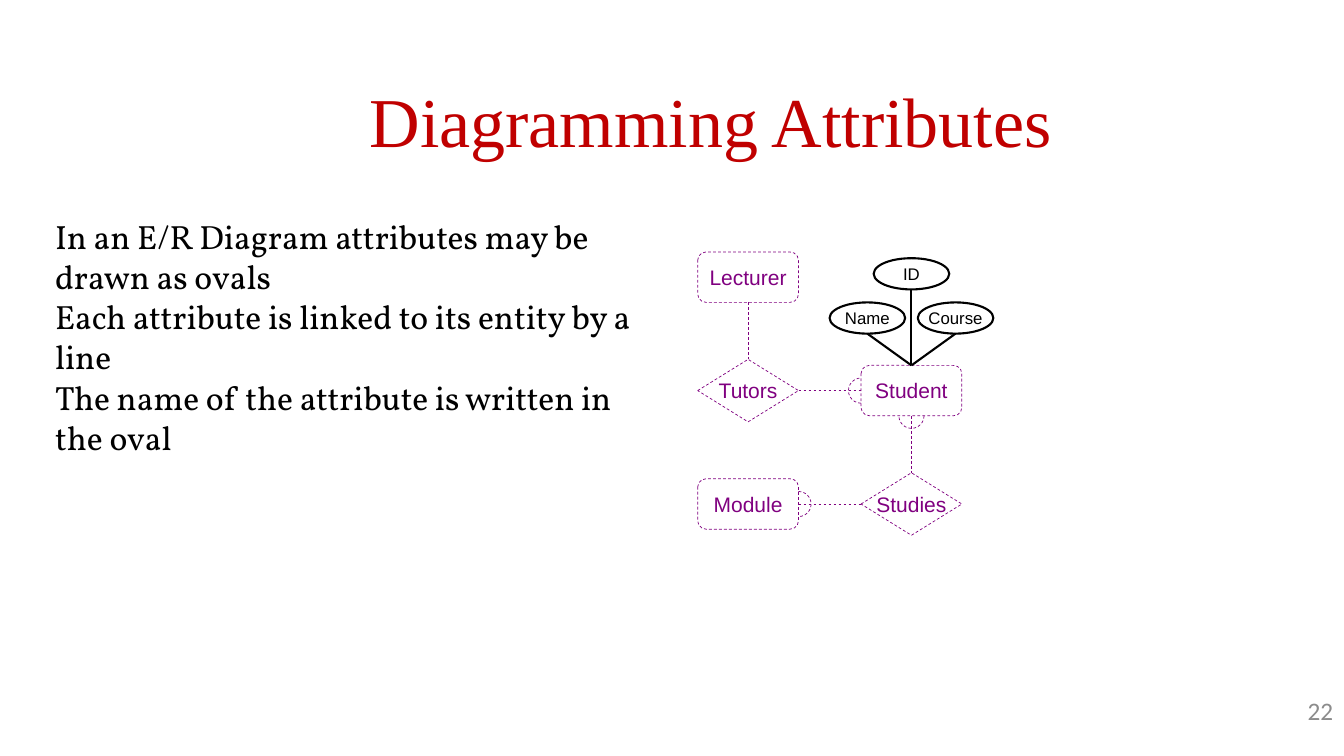
from lxml import etree
from pptx import Presentation, util as u
from pptx.dml.color import RGBColor
from pptx.enum import dml, shapes, text
from pptx.oxml.ns import qn

COLORS = {"title": "C00000", "body": "000000", "number": "8C8C8C",
          "faded": "800080", "attribute": "000000"}
SHAPE, ALIGN, ANCHOR = shapes.MSO_SHAPE, text.PP_ALIGN, text.MSO_ANCHOR
TOP, LEFT, BOTTOM, RIGHT = range(4)


def rgb(name):
    return RGBColor.from_string(COLORS[name])


def write(tf, lines, font="Arial", size=15, color="body", align=ALIGN.LEFT):
    for i, line in enumerate(lines.split("\n")):
        p = tf.paragraphs[0] if i == 0 else tf.add_paragraph()
        p.alignment = align
        r = p.add_run()
        r.text = line
        r.font.name, r.font.size = font, u.Pt(size)
        r.font.color.rgb = rgb(color)


class Diagram:
    """Slide with a grid of node centres: columns and rows may be fractions."""
    left, top = 7.42, 2.75
    col_step, row_step = 1.62, 1.125

    def __init__(self, prs):
        self.prs = prs
        self.s = prs.slides.add_slide(prs.slide_layouts[6])

    def point(self, col, row):
        return (u.Inches(self.left + col * self.col_step),
                u.Inches(self.top + row * self.row_step))

    def style_line(self, line, color):
        line.color.rgb = rgb(color)
        line.width = u.Pt(0.5 if color == "faded" else 1.5)
        if color == "faded":
            line.dash_style = dml.MSO_LINE.DASH

    def text_box(self, x, y, w, h, lines, **fmt):
        """Place text at shares of the slide's size."""
        W, H = self.prs.slide_width, self.prs.slide_height
        sp = self.s.shapes.add_textbox(int(x * W), int(y * H), int(w * W), int(h * H))
        tf = sp.text_frame
        tf.word_wrap = True
        tf.margin_left = tf.margin_right = tf.margin_top = tf.margin_bottom = 0
        write(tf, lines, **fmt)

    def shape(self, kind, col, row, w, h, color="faded"):
        """Centre an unfilled outline on a grid point."""
        x, y = self.point(col, row)
        w, h = u.Inches(w), u.Inches(h)
        sp = self.s.shapes.add_shape(kind, x - w // 2, y - h // 2, w, h)
        sp.shadow.inherit = False
        sp.fill.background()
        self.style_line(sp.line, color)
        return sp

    def node(self, kind, label, col, row, w, h, color="faded", size=15):
        sp = self.shape(kind, col, row, w, h, color)
        tf = sp.text_frame
        tf.word_wrap = False
        tf.vertical_anchor = ANCHOR.MIDDLE
        write(tf, label, size=size, color=color, align=ALIGN.CENTER)
        return sp

    def entity(self, label, col, row):
        return self.node(SHAPE.ROUNDED_RECTANGLE, label, col, row, 1, 0.5)

    def relationship(self, label, col, row):
        return self.node(SHAPE.DIAMOND, label, col, row, 1, 0.62)

    def many(self, col, row, start, end):
        """Half circle from start to end, in degrees clockwise from the right."""
        sp = self.shape(SHAPE.ARC, col, row, 0.25, 0.25)
        for i, angle in enumerate((start, end)):
            sp.adjustments[i] = angle * 0.6

    def connector(self, begin, side, end, end_side=None, color="faded"):
        """Join a node's side to another node's side or to a given point."""
        x, y = (0, 0) if end_side is not None else end
        c = self.s.shapes.add_connector(shapes.MSO_CONNECTOR.STRAIGHT, 0, 0, x, y)
        c.begin_connect(begin, side)
        if end_side is not None:
            c.end_connect(end, end_side)
        self.style_line(c.line, color)
        etree.SubElement(c._element.spPr, qn("a:effectLst"))

    def attribute(self, label, owner, col, row):
        w, h = 0.75, 0.31
        sp = self.node(SHAPE.OVAL, label, col, row, w, h, "attribute", 12)
        foot = (sp.left + sp.width // 2, sp.top + sp.height)
        self.connector(owner, TOP, foot, color="attribute")


def main():
    prs = Presentation()
    prs.slide_width, prs.slide_height = u.Inches(13.33), u.Inches(7.5)
    d = Diagram(prs)

    # Title, body and slide number
    d.text_box(0.275, 0.103, 0.667, 0.105, "Diagramming Attributes",
               font="Times New Roman", size=50, color="title")
    d.text_box(0.041, 0.285, 0.452, 0.68,
               "In an E/R Diagram attributes may be drawn as ovals\n"
               "Each attribute is linked to its entity by a line\n"
               "The name of the attribute is written in the oval",
               font="Vollkorn", size=24)
    d.text_box(0.942, 0.92, 0.05, 0.07, "22", font="Calibri", size=18,
               color="number", align=ALIGN.RIGHT)

    # Entities and relationships
    lecturer = d.entity("Lecturer", 0, 0)
    student = d.entity("Student", 1, 1)
    module = d.entity("Module", 0, 2)
    tutors = d.relationship("Tutors", 0, 1)
    studies = d.relationship("Studies", 1, 2)

    # Links between them
    for begin, side, end, end_side in ((lecturer, BOTTOM, tutors, TOP),
                                       (tutors, RIGHT, student, LEFT),
                                       (student, BOTTOM, studies, TOP),
                                       (module, RIGHT, studies, LEFT)):
        d.connector(begin, side, end, end_side)

    # Half circles on the "many" ends, at the entities' edges
    half_w, half_h = 0.5 / d.col_step, 0.25 / d.row_step
    d.many(half_w, 2, 270, 90)
    d.many(1 - half_w, 1, 90, 270)
    d.many(1, 1 + half_h, 0, 180)

    # Attributes of Student
    for label, col, row in (("ID", 1, -0.03), ("Course", 1.27, 0.36),
                            ("Name", 0.73, 0.36)):
        d.attribute(label, student, col, row)

    prs.save("out.pptx")


if __name__ == "__main__":
    main()
